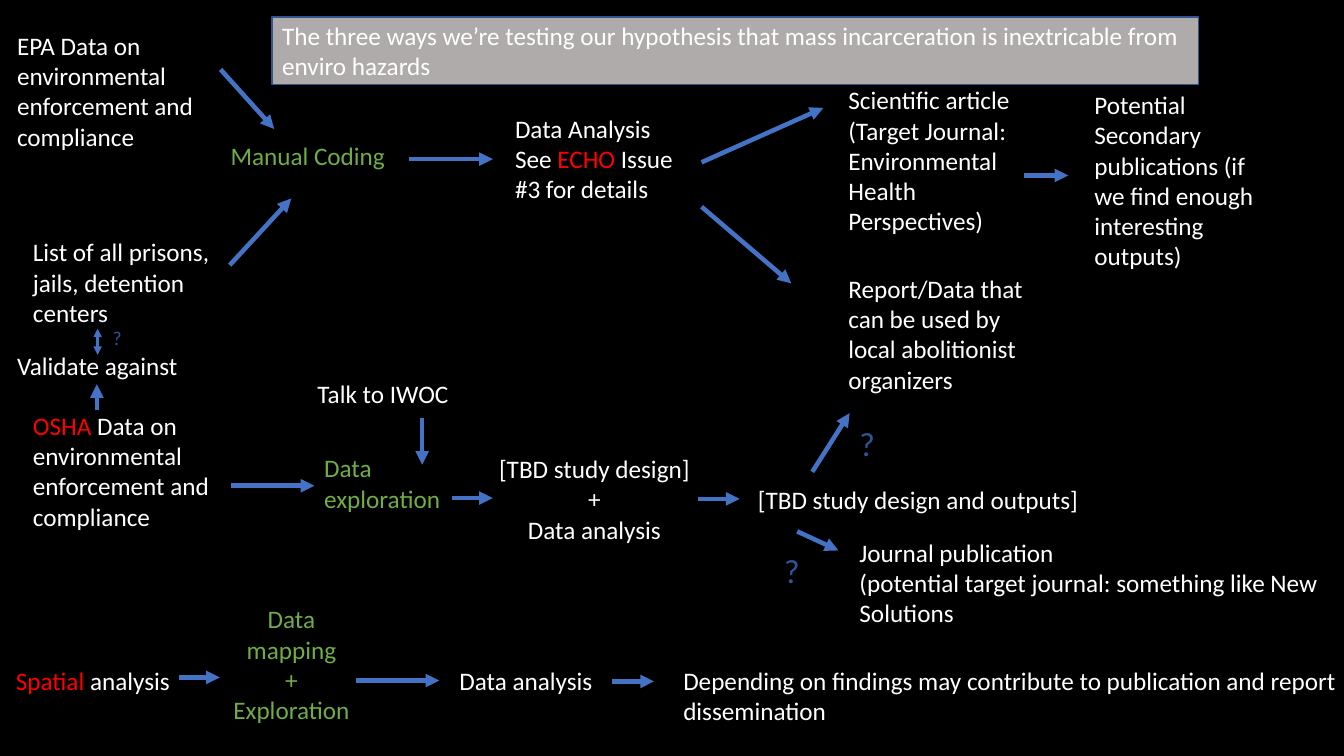
"""Build the research workflow slide with its three testing paths."""
from lxml.etree import SubElement
from pptx import Presentation
from pptx.dml.color import RGBColor
from pptx.enum.shapes import MSO_CONNECTOR, MSO_SHAPE
from pptx.enum.text import MSO_ANCHOR, PP_ALIGN
from pptx.oxml.ns import qn
from pptx.util import Cm, Pt

WHITE, BLACK, RED, GREEN = "FFFFFF", "000000", "FF0000", "70AD47"
ARROW_BLUE, QUESTION_BLUE = "4472C4", "2F5597"
LINE_HEIGHT, VERTICAL_PADDING = 0.77, 0.26


def color(hex_value):
    return RGBColor.from_string(hex_value)


def write_text(shape, text, size=18, fill=WHITE, highlight="", align=PP_ALIGN.LEFT,
               anchor=MSO_ANCHOR.TOP):
    frame = shape.text_frame
    frame.word_wrap = True
    frame.vertical_anchor = anchor
    for index, line in enumerate(text.split("\n")):
        paragraph = frame.paragraphs[0] if index == 0 else frame.add_paragraph()
        paragraph.alignment = align
        before, marked, after = line.partition(highlight) if highlight else (line, "", "")
        for words, run_color in ((before, fill), (marked, RED), (after, fill)):
            if words:
                run = paragraph.add_run()
                run.text = words
                run.font.name = "Calibri"
                run.font.size = Pt(size)
                run.font.color.rgb = color(run_color)


presentation = Presentation()
presentation.slide_width, presentation.slide_height = Cm(33.87), Cm(19.05)
slide = presentation.slides.add_slide(presentation.slide_layouts[6])
slide.background.fill.solid()
slide.background.fill.fore_color.rgb = color(BLACK)

banner = slide.shapes.add_shape(MSO_SHAPE.RECTANGLE, Cm(6.86), Cm(0.43), Cm(23.34), Cm(1.7))
banner.shadow.inherit = False
banner.fill.solid()
banner.fill.fore_color.rgb = color("AFABAB")
banner.line.color.rgb = color("325491")
banner.line.width = Pt(1)
write_text(banner, "The three ways we’re testing our hypothesis that mass incarceration "
           "is inextricable from enviro hazards", anchor=MSO_ANCHOR.MIDDLE)

single, double = ("tailEnd",), ("headEnd", "tailEnd")
arrows = [
    (5.79, 6.68, 7.34, 5, 3.25, single),
    (5.56, 1.75, 6.91, 3.25, 3.25, single),
    (10.31, 4.01, 12.42, 4.01, 3.25, single),
    (17.68, 4.09, 20.75, 2.72, 3.25, single),
    (17.68, 5.21, 19.94, 7.14, 3.25, single),
    (25.81, 4.42, 26.92, 4.42, 3.25, single),
    (2.46, 8.94, 2.46, 8.28, 2, double),
    (2.44, 10.34, 2.44, 9.68, 3.25, single),
    (5.82, 12.24, 7.92, 12.24, 3.25, single),
    (10.64, 10.54, 10.64, 11.71, 3.25, single),
    (11.38, 12.55, 12.42, 12.55, 3.25, single),
    (17.58, 12.57, 18.64, 12.57, 3.25, single),
    (20.47, 11.89, 21.41, 10.41, 3.25, single),
    (20.09, 13.39, 21.13, 13.87, 3.25, single),
    (4.5, 17.07, 5.54, 17.07, 3.25, single),
    (8.97, 17.15, 11.07, 17.15, 3.25, single),
    (15.42, 17.17, 16.48, 17.17, 3.25, single),
]
for start_x, start_y, end_x, end_y, width, arrowheads in arrows:
    arrow = slide.shapes.add_connector(
        MSO_CONNECTOR.STRAIGHT, Cm(start_x), Cm(start_y), Cm(end_x), Cm(end_y))
    arrow.line.color.rgb = color(ARROW_BLUE)
    arrow.line.width = Pt(width)
    properties = arrow.element.spPr
    for arrowhead in arrowheads:
        SubElement(properties.find(qn("a:ln")), qn(f"a:{arrowhead}"), type="triangle")
    SubElement(properties, qn("a:effectLst"))

questions = [
    (21.41, 10.54, 0.91, 1.27, 24),
    (19.51, 13.72, 0.91, 1.27, 24),
    (2.59, 8.1, 0.74, 0.86, 14),
]
for left, top, width, height, size in questions:
    question = slide.shapes.add_shape(
        MSO_SHAPE.RECTANGLE, Cm(left), Cm(top), Cm(width), Cm(height))
    question.shadow.inherit = False
    question.fill.solid()
    question.fill.fore_color.rgb = color(BLACK)
    question.line.fill.background()
    write_text(question, "?", size=size, fill=QUESTION_BLUE)

green = {"fill": GREEN}
centered = {"align": PP_ALIGN.CENTER}
steps = [
    (0.18, 0.64, 4.98, 4, "EPA Data on environmental enforcement and compliance", {}),
    (5.56, 3.4, 4.8, 1, "Manual Coding", green),
    (0.58, 5.84, 4.98, 3, "List of all prisons, jails, detention centers", {}),
    (12.73, 2.72, 4.8, 3, "Data Analysis See ECHO Issue #3 for details", {"highlight": "ECHO"}),
    (21.13, 2.01, 4.8, 5, "Scientific article\n"
     "(Target Journal: Environmental Health Perspectives)", {}),
    (27.33, 2.13, 4.8, 6, "Potential Secondary publications "
     "(if we find enough interesting outputs)", {}),
    (21.13, 6.76, 5.18, 4, "Report/Data that can be used by local abolitionist organizers", {}),
    (0.18, 8.71, 4.98, 1, "Validate against", {}),
    (0.58, 10.21, 4.98, 4, "OSHA Data on environmental enforcement and compliance",
     {"highlight": "OSHA"}),
    (7.75, 9.42, 4.98, 1, "Talk to IWOC", {}),
    (7.92, 11.28, 4.19, 2, "Data exploration", green),
    (12.29, 11.3, 5.38, 3, "[TBD study design]\n+\nData analysis", centered),
    (18.85, 12.09, 8.69, 1, "[TBD study design and outputs]", {}),
    (21.41, 13.41, 12.45, 3, "Journal publication\n"
     "(potential target journal: something like New Solutions", {}),
    (0.15, 16.64, 4.57, 1, "Spatial analysis", {"highlight": "Spatial"}),
    (5.54, 15.09, 3.61, 4, "Data mapping\n+\nExploration", {**green, **centered}),
    (11.3, 16.64, 3.91, 1, "Data analysis", centered),
    (16.97, 16.64, 17.17, 2, "Depending on findings may contribute to publication and report\n"
     "dissemination", {}),
]
for left, top, width, line_count, text, text_format in steps:
    height = LINE_HEIGHT * line_count + VERTICAL_PADDING
    step = slide.shapes.add_textbox(Cm(left), Cm(top), Cm(width), Cm(height))
    write_text(step, text, **text_format)

presentation.save("out.pptx")
